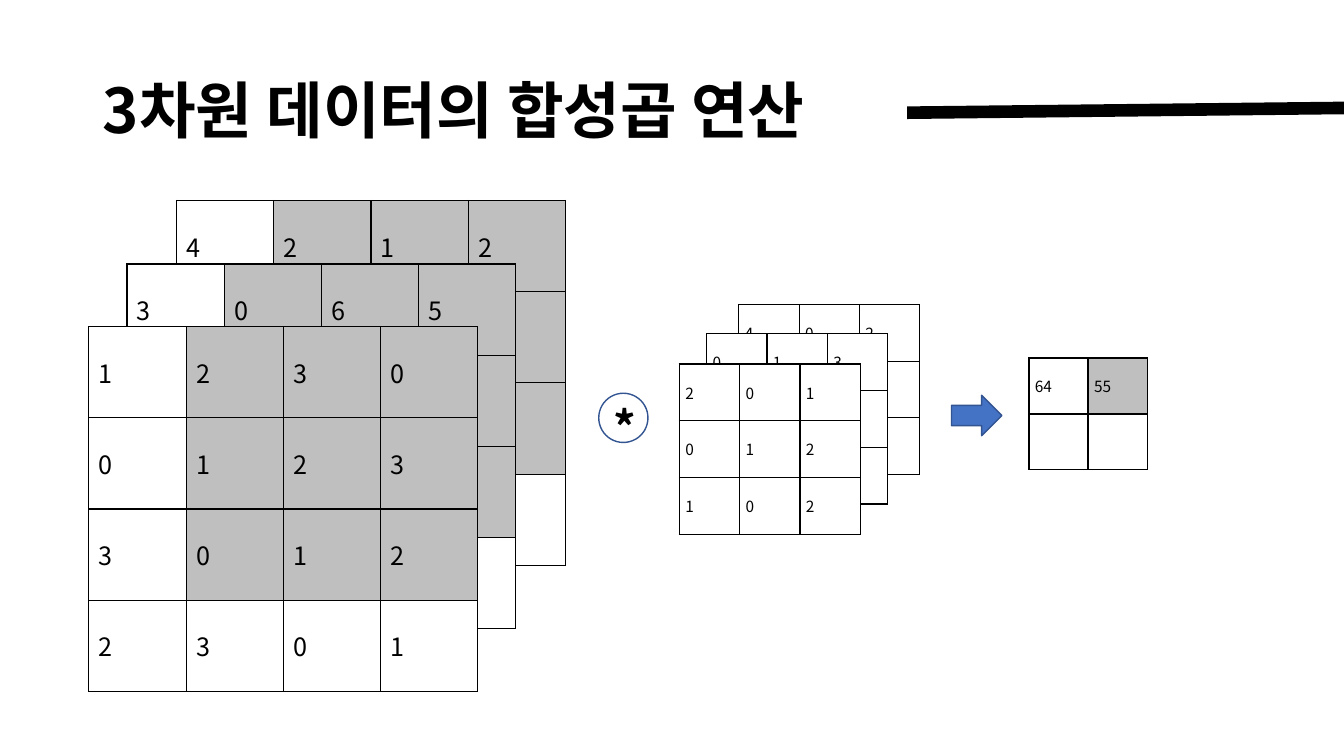
"""Build a slide on the convolution of three-dimensional data."""
import pptx
import pptx.dml.color
import pptx.enum.shapes
import pptx.enum.text
import pptx.oxml.ns
import pptx.util
from lxml import etree

Cm = pptx.util.Cm
Pt = pptx.util.Pt
RGBColor = pptx.dml.color.RGBColor
Shape = pptx.enum.shapes.MSO_SHAPE
Anchor = pptx.enum.text.MSO_ANCHOR
qn = pptx.oxml.ns.qn

BLACK = RGBColor(0x00, 0x00, 0x00)
WHITE = RGBColor(0xFF, 0xFF, 0xFF)
GREY = RGBColor(0xBF, 0xBF, 0xBF)
BLUE = RGBColor(0x44, 0x72, 0xC4)
NAVY = RGBColor(0x32, 0x54, 0x91)
FONT = "Noto Sans CJK KR"

TITLE = "3차원 데이터의 합성곱 연산"
OPERATOR = "*"

LARGE = {"column": 2.45, "row": 2.3, "size": 18, "side": 0.25, "edge": 0.13}
SMALL = {"column": 1.52, "row": 1.43, "size": 11, "side": 0.15, "edge": 0.08}
RESULT = {**SMALL, "column": 1.49, "row": 1.41}

INPUT_ROWS = ["0 1 2 3", "3 0 1 2", "2 3 0 1"]
KERNEL_ROWS = ["0 1 2", "1 0 2"]
WINDOW = {(row, column) for row in range(3) for column in range(1, 4)}
BACK_WINDOW = WINDOW | {(3, column) for column in range(3)}

GRIDS = [
    (4.45, 5.05, LARGE, ["4 2 1 2", *INPUT_ROWS], BACK_WINDOW),
    (3.2, 6.65, LARGE, ["3 0 6 5", *INPUT_ROWS], WINDOW),
    (2.24, 8.23, LARGE, ["1 2 3 0", *INPUT_ROWS], WINDOW),
    (18.62, 7.67, SMALL, ["4 0 2", "0 1 0", "1 0 2"], set()),
    (17.81, 8.41, SMALL, ["0 1 3", "0 1 2", "1 0 2"], set()),
    (17.12, 9.17, SMALL, ["2 0 1", *KERNEL_ROWS[:0], "0 1 2", "1 0 2"], set()),
    (25.93, 9.02, RESULT, ["64 55", " "], {(0, 1)}),
]


def apply(target, **values):
    """Set each named attribute of the target."""
    for name, value in values.items():
        setattr(target, name, value)


def write(frame, words, size, bold=False):
    """Put one formatted span of text in the frame."""
    span = frame.paragraphs[0].add_run()
    span.text = words
    apply(span.font, name=FONT, size=Pt(size), bold=bold)
    span.font.color.rgb = BLACK
    properties = span.font._element
    etree.SubElement(properties, qn("a:ea")).set("typeface", FONT)


def outline(cell):
    """Draw a thin black border around the cell."""
    properties = cell._tc.get_or_add_tcPr()
    for position, side in enumerate(("lnL", "lnR", "lnT", "lnB")):
        border = etree.Element(qn(f"a:{side}"), w=str(Pt(1)))
        fill = etree.SubElement(border, qn("a:solidFill"))
        etree.SubElement(fill, qn("a:srgbClr")).set("val", str(BLACK))
        properties.insert(position, border)


def add_grid(page, left, top, style, rows, shaded):
    """Add a square matrix with some shaded cells."""
    count = len(rows)
    width, height = Cm(style["column"]), Cm(style["row"])
    table = page.shapes.add_table(
        count, count, Cm(left), Cm(top), width * count, height * count).table
    apply(table, first_row=False, horz_banding=False)
    for column in table.columns:
        column.width = width
    for row_index, values in enumerate(rows):
        table.rows[row_index].height = height
        numbers = values.split() or [""] * count
        for column_index, number in enumerate(numbers):
            cell = table.cell(row_index, column_index)
            side, edge = Cm(style["side"]), Cm(style["edge"])
            apply(cell, vertical_anchor=Anchor.MIDDLE, margin_left=side,
                  margin_right=side, margin_top=edge, margin_bottom=edge)
            cell.fill.solid()
            in_window = (row_index, column_index) in shaded
            cell.fill.fore_color.rgb = GREY if in_window else WHITE
            outline(cell)
            if number:
                write(cell.text_frame, number, style["size"])


def add_figure(page, kind, left, top, width, height, color=None):
    """Add a navy-outlined shape, filled when a colour is given."""
    figure = page.shapes.add_shape(kind, Cm(left), Cm(top), Cm(width), Cm(height))
    figure.shadow.inherit = False
    if color is None:
        figure.fill.background()
    else:
        figure.fill.solid()
        figure.fill.fore_color.rgb = color
    figure.line.color.rgb = NAVY
    figure.line.width = Pt(1)


def main():
    """Compose and save the slide."""
    deck = pptx.Presentation()
    apply(deck, slide_width=Cm(33.87), slide_height=Cm(19.05))
    page = deck.slides.add_slide(deck.slide_layouts[5])

    title = page.shapes.title
    apply(title, left=Cm(2.34), top=Cm(1.02), width=Cm(20.52), height=Cm(3.68))
    apply(title.text_frame, vertical_anchor=Anchor.MIDDLE, word_wrap=True)
    apply(title.text_frame.paragraphs[0], line_spacing=0.9,
          alignment=pptx.enum.text.PP_ALIGN.LEFT)
    write(title.text_frame, TITLE, 44, bold=True)

    rule = page.shapes.add_connector(
        pptx.enum.shapes.MSO_CONNECTOR.STRAIGHT,
        Cm(22.86), Cm(2.84), Cm(33.87), Cm(2.72))
    rule.line.color.rgb = BLACK
    rule.line.width = Pt(9)
    etree.SubElement(rule._element.spPr, qn("a:effectLst"))

    for grid in GRIDS:
        add_grid(page, *grid)

    add_figure(page, Shape.OVAL, 15.09, 9.91, 1.24, 1.24)
    box = page.shapes.add_textbox(Cm(15.21), Cm(9.96), Cm(1.04), Cm(1.63))
    apply(box.text_frame, word_wrap=False,
          auto_size=pptx.enum.text.MSO_AUTO_SIZE.SHAPE_TO_FIT_TEXT)
    write(box.text_frame, OPERATOR, 32, bold=True)
    add_figure(page, Shape.RIGHT_ARROW, 23.98, 9.96, 1.27, 1.02, BLUE)

    deck.save("out.pptx")


if __name__ == "__main__":
    main()
